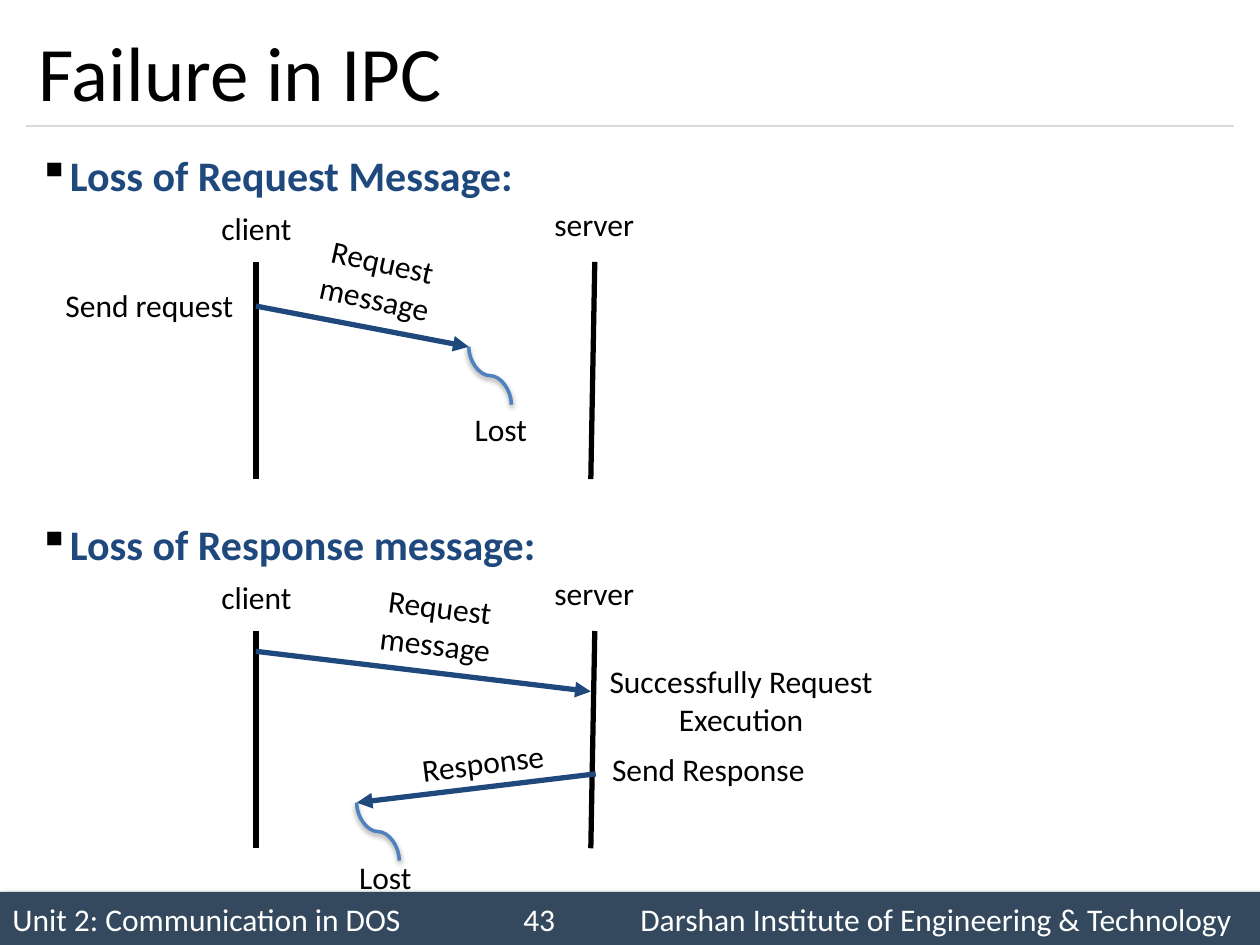
from lxml import etree
from pptx import Presentation
from pptx import util as u
from pptx.dml.color import RGBColor
from pptx.enum import shapes, text
from pptx.oxml import ns

HUES = {"ink": "000000", "navy": "1F497D", "blue": "4F81BD",
        "bar": "34495E", "rule": "D9D9D9", "white": "FFFFFF"}
MID = text.MSO_ANCHOR.MIDDLE
MUCH = text.PP_ALIGN.JUSTIFY
CEN = text.PP_ALIGN.CENTER
LEFT = text.PP_ALIGN.LEFT
FIT = text.MSO_AUTO_SIZE.SHAPE_TO_FIT_TEXT


def hue(name):
    return RGBColor.from_string(HUES[name])


def put(obj, vals):
    for key, val in vals.items():
        setattr(obj, key, val)


def sub(node, tag, **atts):
    return etree.SubElement(node, ns.qn(tag), atts)


def shade(shape, blur=0, dist=0, angle=0, alpha=0):
    fx = sub(shape._element.spPr, "a:effectLst")
    if blur:
        cast = sub(fx, "a:outerShdw", blurRad=str(u.Pt(blur)), dist=str(u.Pt(dist)),
                   dir=str(angle * 60000), rotWithShape="0")
        tint = sub(cast, "a:srgbClr", val=HUES["ink"])
        sub(tint, "a:alpha", val=str(alpha * 1000))


def write(shape, words, size=18, color="ink", bold=False, align=LEFT, **frame):
    put(shape.text_frame, {"word_wrap": True, **frame})
    par = shape.text_frame.paragraphs[0]
    par.text = words
    par.alignment = align
    put(par.font, {"name": "Calibri", "size": u.Pt(size), "bold": bold})
    par.font.color.rgb = hue(color)
    return par


def box(slide, at):
    return slide.shapes.add_textbox(*map(u.Cm, at))


def label(slide, words, at, turn=0, align=CEN):
    note = box(slide, at)
    note.rotation = turn
    write(note, words, align=align, auto_size=FIT)


def line(slide, ends, color="ink", width=3, head=False, kind="STRAIGHT"):
    link = slide.shapes.add_connector(getattr(shapes.MSO_CONNECTOR, kind), *map(u.Cm, ends))
    link.line.color.rgb = hue(color)
    link.line.width = u.Pt(width)
    if head:
        sub(link.line._get_or_add_ln(), "a:tailEnd", type="triangle")
    return link


def arrow(slide, ends):
    shade(line(slide, ends, "navy", head=True))


def lost(slide, x, y, left, top):
    wide, tall = 0.86, 1.17
    midx, midy = x + wide / 2, y + tall / 2
    curl = line(slide, (midx + tall / 2, midy - wide / 2, midx - tall / 2, midy + wide / 2),
                "blue", 2, kind="CURVE")
    curl._element.spPr.find(ns.qn("a:xfrm")).set("rot", str(270 * 60000))
    shade(curl, 3.1, 1.6, 90, 38)
    label(slide, "Lost", (left, top, 2.39, 1.02), align=LEFT)


def scene(slide, title, top):
    head = box(slide, (0.53, top, 24.33, 7.19))
    props = head.text_frame.paragraphs[0]._p.get_or_add_pPr()
    put(props, {"marL": u.Cm(0.95), "indent": u.Cm(-0.95)})
    sub(sub(props, "a:buClr"), "a:srgbClr", val=HUES["ink"])
    sub(props, "a:buChar", char="▪")
    write(head, title, 24, "navy", True, MUCH).line_spacing = 1.14
    for name, left, drop, start, end in (("client", 3.38, 1.35, 5.16, 5.16),
                                         ("server", 10.19, 1.27, 11.99, 11.91)):
        label(slide, name, (left, top + drop, 3.58, 1.02))
        shade(line(slide, (start, top + 2.54, end, top + 6.92)))


def footer(slide):
    bar = slide.shapes.add_shape(shapes.MSO_SHAPE.RECTANGLE,
                                 *map(u.Cm, (0, 17.98, 25.4, 1.07)))
    bar.fill.solid()
    bar.fill.fore_color.rgb = hue("bar")
    bar.line.fill.background()
    shade(bar, 4, 3, 45, 40)
    tabs = sub(bar.text_frame.paragraphs[0]._p.get_or_add_pPr(), "a:tabLst")
    for stop in (10.3, 12.66):
        sub(tabs, "a:tab", pos=str(u.Cm(stop)), algn="l")
    write(bar, "Unit 2: Communication in DOS\t43\tDarshan Institute of Engineering & Technology",
          color="white", vertical_anchor=MID)


def main():
    deck = Presentation()
    put(deck, {"slide_width": u.Cm(25.4), "slide_height": u.Cm(19.05)})
    slide = deck.slides.add_slide(deck.slide_layouts[6])

    footer(slide)
    shade(line(slide, (0.53, 2.54, 24.87, 2.54), "rule", 0.75))
    write(box(slide, (0.53, 0.3, 24.33, 2.24)), "Failure in IPC", 44, vertical_anchor=MID)

    scene(slide, "Loss of Request Message:", 2.74)
    arrow(slide, (5.16, 6.17, 9.45, 6.99))
    label(slide, "Request message", (5.44, 4.75, 4.39, 1.8), 12.4)
    label(slide, "Send request", (1.07, 5.64, 5.13, 1.02), align=LEFT)
    lost(slide, 9.45, 6.99, 9.32, 8.15)

    scene(slide, "Loss of Response message:", 10.18)
    arrow(slide, (5.16, 13.13, 11.91, 13.94))
    label(slide, "Request message", (6.63, 11.71, 4.39, 1.8), 7.2)
    arrow(slide, (12.01, 15.6, 7.19, 16.18))
    label(slide, "Response", (7.65, 14.86, 4.17, 1.02), -7.1)
    lost(slide, 7.19, 16.18, 6.99, 17.17)
    label(slide, "Successfully Request Execution", (11.56, 13.23, 6.76, 1.8))
    label(slide, "Send Response", (11.56, 14.99, 5.44, 1.02))

    deck.save("out.pptx")


if __name__ == "__main__":
    main()
